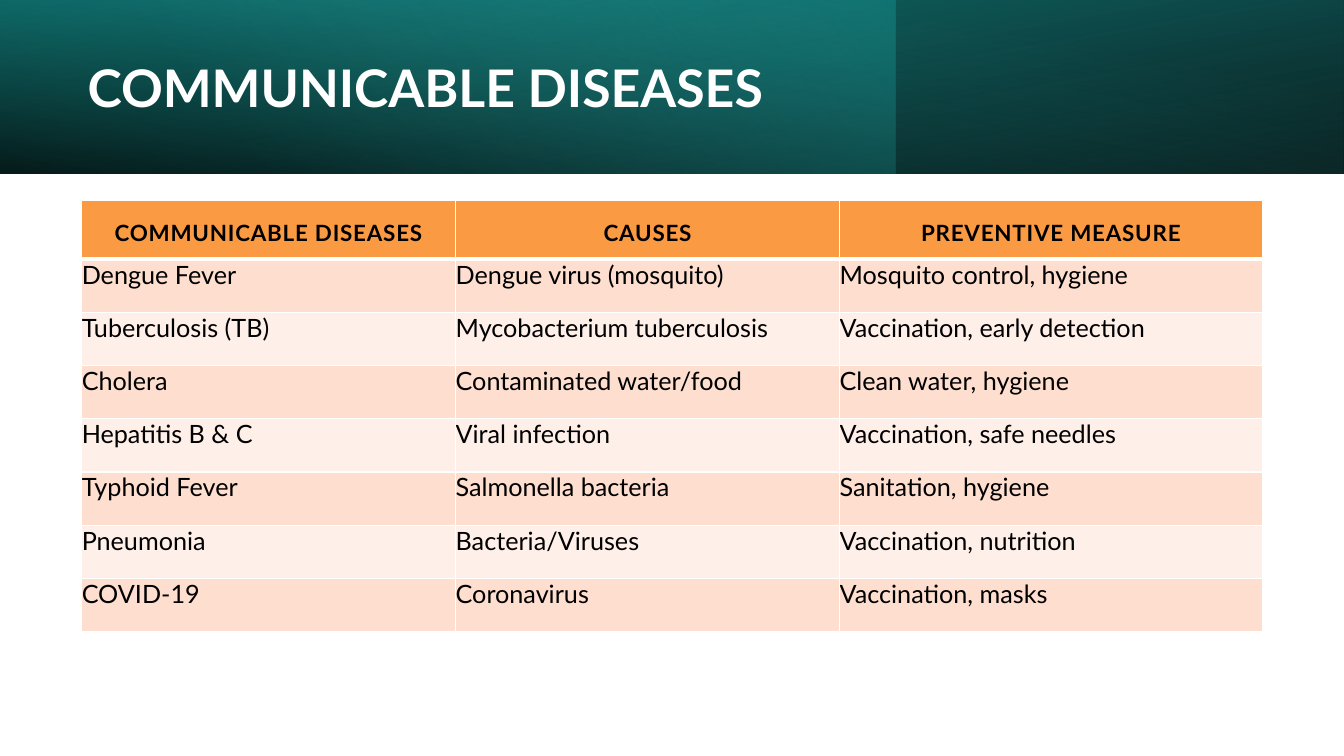
from lxml.etree import SubElement as Sub
from pptx import Presentation
from pptx.dml.color import RGBColor as Rgb
from pptx.enum.shapes import MSO_SHAPE as Kind
from pptx.enum.text import MSO_ANCHOR as Anchor, MSO_AUTO_SIZE as Auto, PP_ALIGN as Align
from pptx.oxml.ns import qn
from pptx.util import Pt

HUES = {
    "white": "FFFFFF", "black": "000000", "teal": "117573",
    "aqua": "169C9A", "mint": "50E6E4",
    "head": "FA9A42", "odd": "FDDECF", "even": "FEEFE9",
}
COLS = [267.1, 274.3, 302.1]
ROWS = [
    ["COMMUNICABLE DISEASES", "CAUSES", "PREVENTIVE MEASURE"],
    ["Dengue Fever", "Dengue virus (mosquito)", "Mosquito control, hygiene"],
    ["Tuberculosis (TB)", "Mycobacterium tuberculosis", "Vaccination, early detection"],
    ["Cholera", "Contaminated water/food", "Clean water, hygiene"],
    ["Hepatitis B & C", "Viral infection", "Vaccination, safe needles"],
    ["Typhoid Fever", "Salmonella bacteria", "Sanitation, hygiene"],
    ["Pneumonia", "Bacteria/Viruses", "Vaccination, nutrition"],
    ["COVID-19", "Coronavirus", "Vaccination, masks"],
]


def hue(name):
    return Rgb.from_string(HUES[name])


def write(frame, text, size=18, color="black", bold=False, align=Align.LEFT,
          gap=0, lead=None, face="Lato"):
    para = frame.paragraphs[0]
    para.alignment = align
    if lead:
        para.line_spacing = lead
    run = para.add_run()
    run.text = text
    font = run.font
    font.name, font.size, font.bold = face, Pt(size), bold
    font.color.rgb = hue(color)
    if gap:
        run._r.get_or_add_rPr().set("spc", str(int(gap * 100)))


class Deck:
    def __init__(self, face="Lato"):
        self.face = face
        self.show = Presentation()
        self.show.slide_width, self.show.slide_height = Pt(960), Pt(540)
        self.slide = self.show.slides.add_slide(self.show.slide_layouts[5])
        self.items = self.slide.shapes

    def band(self, width, height, stops, angle, turn=0, flip=False):
        rect = self.items.add_shape(Kind.RECTANGLE, 0, 0, Pt(width), Pt(height))
        rect.shadow.inherit = False
        rect.line.fill.background()
        rect.rotation = turn
        if flip:
            rect._element.spPr.find(qn("a:xfrm")).set("flipH", "1")
        rect.fill.gradient()
        rect.fill.gradient_angle = 360 - angle
        for stop, (place, name, _) in zip(rect.fill.gradient_stops, stops):
            stop.position = place / 100
            stop.color.rgb = hue(name)
        tints = rect._element.spPr.iter(qn("a:srgbClr"))
        for tint, (_, _, alpha) in zip(list(tints), stops):
            Sub(tint, qn("a:alpha"), val=str(alpha * 1000))

    def title(self, text, left, top, width, height, **style):
        box = self.items.title
        box.left, box.top, box.width, box.height = map(Pt, (left, top, width, height))
        frame = box.text_frame
        frame.word_wrap, frame.auto_size = True, Auto.NONE
        frame.vertical_anchor = Anchor.MIDDLE
        write(frame, text, face=self.face, **style)
        self.items._spTree.append(box._element)

    def edges(self, cell, top, bottom):
        props = cell._tc.get_or_add_tcPr()
        for tag, size in (("lnL", 1), ("lnR", 1), ("lnT", top), ("lnB", bottom)):
            line = Sub(props, qn("a:" + tag), w=str(Pt(size)))
            fill = Sub(line, qn("a:solidFill"))
            Sub(fill, qn("a:srgbClr"), val=HUES["white"])

    def table(self, rows, left, top, cols, first, rest):
        high = first + rest * (len(rows) - 1)
        grid = self.items.add_table(len(rows), len(cols), Pt(left), Pt(top),
                                    Pt(sum(cols)), Pt(high)).table
        grid.horz_banding = False
        for col, width in zip(grid.columns, cols):
            col.width = Pt(width)
        for r, texts in enumerate(rows):
            head = r == 0
            grid.rows[r].height = Pt(first if head else rest)
            for c, text in enumerate(texts):
                cell = grid.cell(r, c)
                cell.margin_left = cell.margin_right = 0
                cell.margin_top, cell.margin_bottom = Pt(9.4 if head else 0), Pt(9.4)
                cell.vertical_anchor = Anchor.BOTTOM if head else Anchor.TOP
                self.edges(cell, 3 if r == 1 else 1, 3 if head else 1)
                cell.fill.solid()
                cell.fill.fore_color.rgb = hue("head" if head else "odd" if r % 2 else "even")
                style = dict(size=16, bold=True, align=Align.CENTER, gap=0.6) if head else {}
                write(cell.text_frame, text, face=self.face, **style)


def main():
    deck = Deck()
    deck.band(960, 124, [(0, "black", 96), (100, "teal", 100)], 100, turn=180, flip=True)
    deck.band(640, 124, [(0, "aqua", 41), (74, "mint", 0)], 140)
    deck.band(960, 124, [(0, "black", 63), (78, "aqua", 15)], 260, flip=True)
    deck.title("COMMUNICABLE DISEASES", 55.4, 19.4, 556, 91.4,
               size=37, color="white", bold=True, lead=0.9)
    deck.table(ROWS, 58.4, 143.4, COLS, 41.8, 38)
    deck.show.save("out.pptx")


if __name__ == "__main__":
    main()
